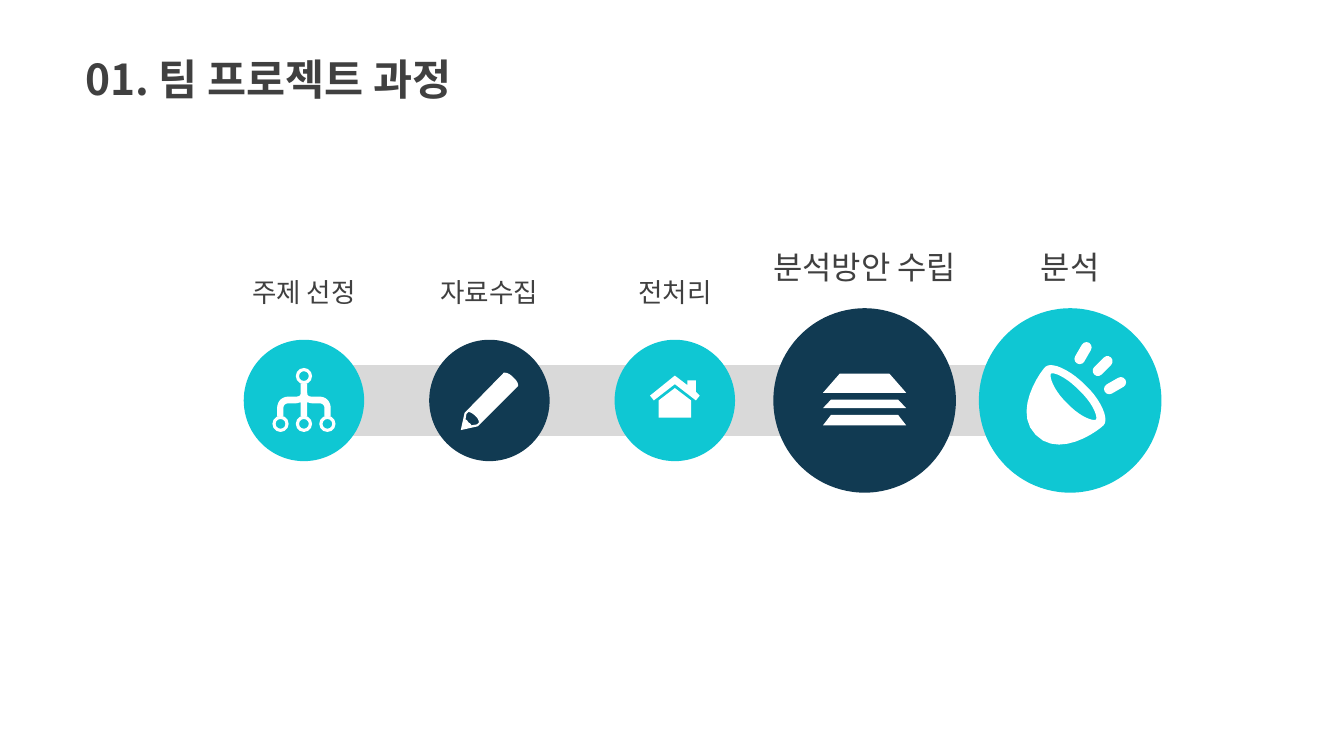
import lxml.etree
import pptx
import pptx.dml.color
import pptx.enum.shapes
import pptx.enum.text
import pptx.oxml.ns
import pptx.util

TITLE = "01. 팀 프로젝트 과정"
FONT = "Noto Sans CJK KR"
INK, GREY, WHITE = "404040", "D9D9D9", "FFFFFF"
TEAL, NAVY = "0FC7D3", "113A52"
WIDE, HIGH = 14.06, 7.91
MID = 4.19

# Circle width and height, label top, height and text size
SMALL = (1.26, 1.27, 2.77, 0.5, 20)
LARGE = (1.91, 1.93, 2.46, 0.59, 24)

# Label, label width, style, centre, circle colour, icon
STEPS = [
    ("주제 선정", 1.37, SMALL, 3.18, TEAL, "tree"),
    ("자료수집", 1.28, SMALL, 5.12, NAVY, "pencil"),
    ("전처리", 1.01, SMALL, 7.06, TEAL, "house"),
    ("분석방안 수립", 3.39, LARGE, 9.045, NAVY, "stack"),
    ("분석", 2.37, LARGE, 11.195, TEAL, "lamp"),
]

# Outlines in hundredths of an inch from the circle's centre:
# two numbers are a corner, six numbers are a Bézier curve
BRANCH = [(3.5, -18), (3.5, -8), (3.5, -6, 3.5, -4, 9, -4), (16, -4),
          (25, -4, 28, 3, 28, 8), (28, 17), (21.5, 17), (21.5, 8),
          (21.5, 7, 21, 3, 16, 3), (9, 3), (6, 3, 5, 2, 3.5, 2), (3.5, 17)]
OUTLINES = {
    "pencil": [[
        [(25, -24), (20, -30, 15, -29, 15, -29), (-26, 13), (-30, 31),
         (-12, 27), (30, -15), (30, -15, 31, -19, 25, -24)],
        [(-13, 25), (-19, 26), (-19, 25, -20, 24, -22, 23),
         (-23, 21, -24, 20, -25, 20), (-24, 14), (-22, 12),
         (-22, 12, -19, 12, -15, 16), (-11, 19, -11, 23, -11, 23)],
    ]],
    "house": [
        [[(-17, 0), (-17, 18), (17, 18), (17, 0), (0, -13)]],
        [[(22, -9), (22, -21), (13, -21), (13, -16), (0, -26), (-26, -5),
          (-22, 0), (0, -17), (22, 0), (26, -5)]],
    ],
    "stack": [
        [[(-edge, top), (edge, top), (43.5, base), (-43.5, base)]]
        for edge, top, base in [(26, -28, -8), (35, -1, 8), (35, 15, 26)]
    ],
    "lamp": [[
        [(-26, -35), (-32, -29, -60, 12, -36, 36), (-12, 61, 28, 33, 35, 26),
         (41, 20, 33, 0, 16, -16), (-1, -33, -20, -41, -26, -35)],
        [(27, 20), (25, 22, 11, 18, -3, 3), (-18, -11, -22, -26, -20, -28),
         (-18, -30, -4, -25, 10, -10), (25, 4, 29, 18, 27, 20)],
    ]],
}
RINGS = [(0, -25.5), (-24.5, 24.5), (0, 24.5), (24.5, 24.5)]
RAYS = [(13.5, -49.5, 30), (34, -36, 45), (47, -15.5, 60)]

inch = pptx.util.Inches
kinds = pptx.enum.shapes.MSO_SHAPE


def hue(code):
    return pptx.dml.color.RGBColor.from_string(code)


def paint(shape, code):
    shape.shadow.inherit = False
    shape.fill.solid()
    shape.fill.fore_color.rgb = hue(code)
    shape.line.fill.background()
    return shape


def place(kind, x, y, wide, high, code):
    """Add a filled preset shape centred on x, y."""
    box = (x - wide / 2, y - high / 2, wide, high)
    return paint(slide.shapes.add_shape(kind, *map(inch, box)), code)


def write(text, box, size, wrap=True):
    shape = slide.shapes.add_textbox(*map(inch, box))
    shape.text_frame.word_wrap = wrap
    line = shape.text_frame.paragraphs[0]
    line.text = text
    font = line.font
    font.size = pptx.util.Pt(size)
    font.color.rgb = hue(INK)
    font.name = FONT
    props = line._p.pPr.find(pptx.oxml.ns.qn("a:defRPr"))
    lxml.etree.SubElement(props, pptx.oxml.ns.qn("a:ea"), typeface=FONT)
    return shape.text_frame


def trace(nodes, steps=10):
    """Turn corners and curves into plain points."""
    points = []
    for node in nodes:
        if len(node) == 2:
            points.append(node)
            continue
        curve = [points[-1], node[:2], node[2:4], node[4:]]
        for step in range(1, steps + 1):
            t = step / steps
            parts = ((1 - t) ** 3, 3 * t * (1 - t) ** 2,
                     3 * t * t * (1 - t), t ** 3)
            points.append(tuple(
                sum(part * point[axis] for part, point in zip(parts, curve))
                for axis in (0, 1)))
    return points


def draw(loops, x):
    """Draw loops of points as one white outline; inner loops are holes."""
    loops = [[(inch(x + a / 100), inch(MID + b / 100)) for a, b in loop]
             for loop in loops]
    pen = slide.shapes.build_freeform(*loops[0][0])
    for order, loop in enumerate(loops):
        if order:
            pen.move_to(*loop[0])
        pen.add_line_segments(loop[1:], close=True)
    paint(pen.convert_to_shape(), WHITE)


def add_icon(name, x):
    for shape in OUTLINES.get(name, []):
        draw([trace(loop) for loop in shape], x)
    if name == "tree":
        half = trace(BRANCH)
        draw([half + [(-a, b) for a, b in reversed(half)]], x)
        for a, b in RINGS:
            ring = place(kinds.DONUT, x + a / 100, MID + b / 100,
                         0.17, 0.17, WHITE)
            ring.adjustments[0] = 0.2
    if name == "lamp":
        for a, b, turn in RAYS:
            ray = place(kinds.ROUNDED_RECTANGLE, x + a / 100, MID + b / 100,
                        0.11, 0.25, WHITE)
            ray.adjustments[0] = 0.5
            ray.rotation = turn


deck = pptx.Presentation()
deck.slide_width, deck.slide_height = inch(WIDE), inch(HIGH)
slide = deck.slides.add_slide(deck.slide_layouts[6])

title = write(TITLE, (0.89, 0.55, 4.75, 1.08), 32)
title.paragraphs[0].font.bold = True
title.margin_left = title.margin_right = 0
title.margin_top = title.margin_bottom = 0

for column in range(4):
    place(kinds.RECTANGLE, 4.12 + 1.91 * column, MID, 2.54, 0.74, GREY)

for label, width, style, x, code, icon in STEPS:
    wide, high, top, tall, size = style
    place(kinds.OVAL, x, MID, wide, high, code)
    add_icon(icon, x)
    frame = write(label, (x - width / 2, top, width, tall), size,
                  style is LARGE)
    frame.paragraphs[0].alignment = pptx.enum.text.PP_ALIGN.CENTER
    frame.paragraphs[0].line_spacing = 1.2

deck.save("out.pptx")
